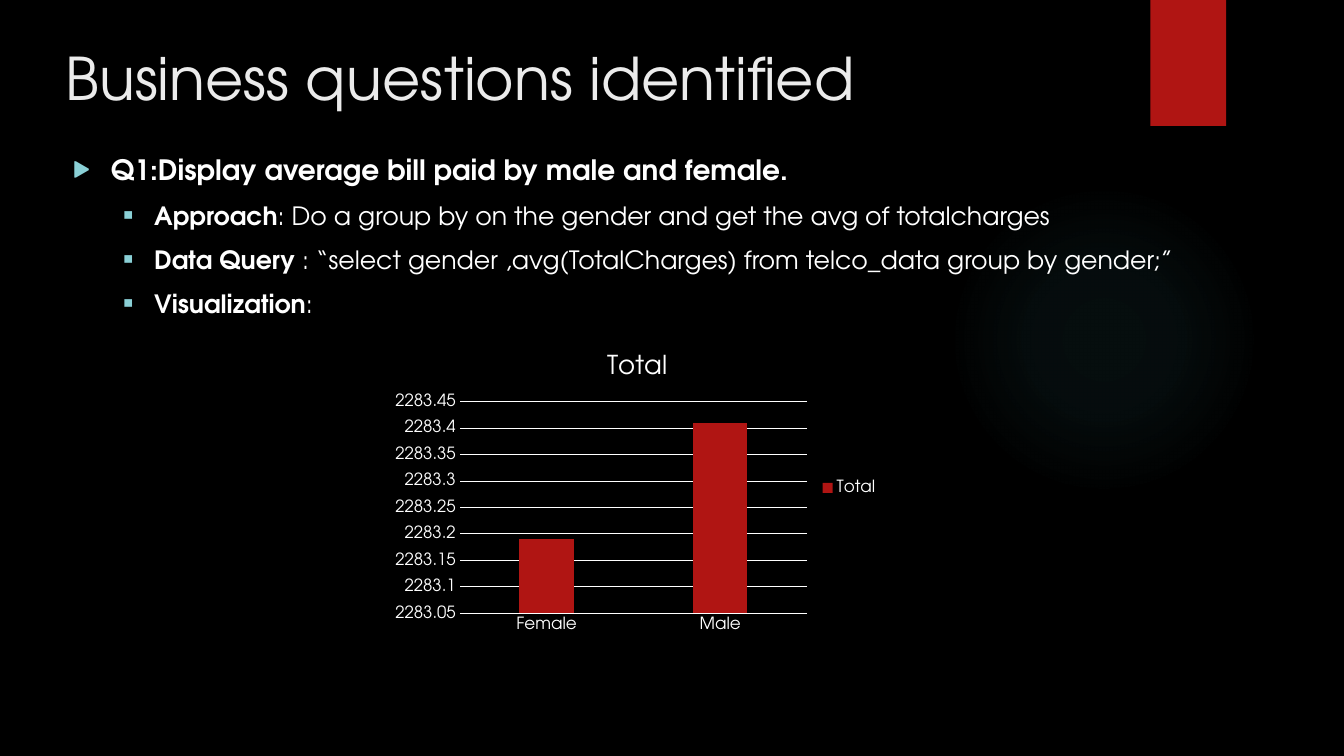
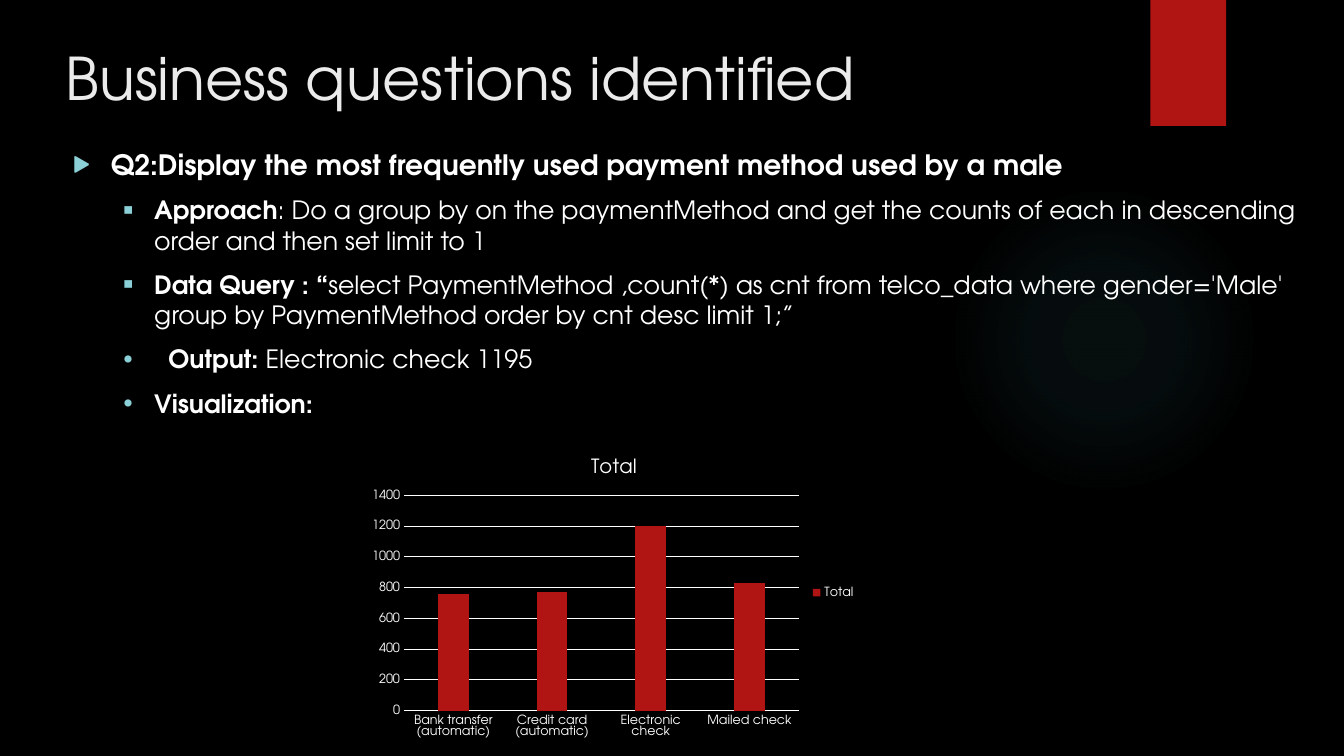
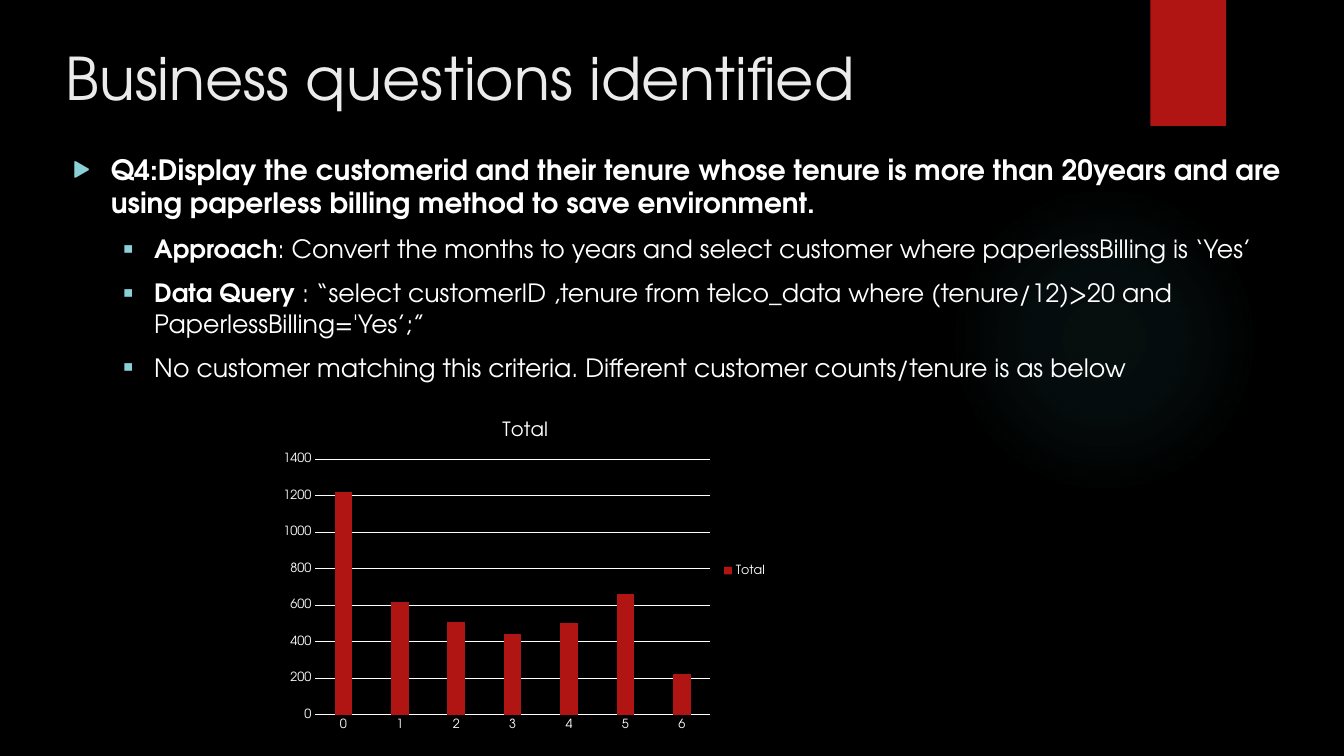
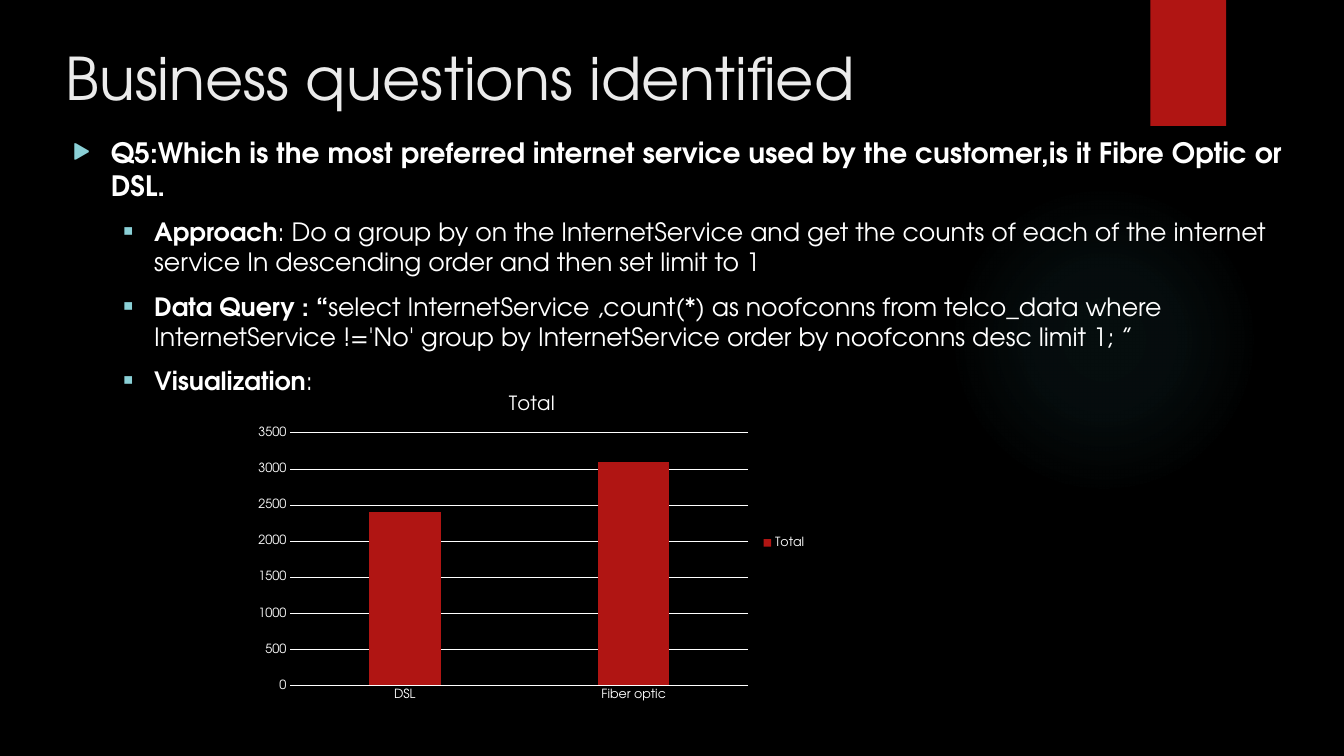
from dataclasses import dataclass

from lxml import etree
from pptx import Presentation
from pptx import util as u
from pptx.chart import data as chart_data
from pptx.dml.color import RGBColor
from pptx.enum import chart as chart_enum
from pptx.enum import shapes, text
from pptx.oxml import parse_xml
from pptx.oxml.ns import nsdecls, qn

SLIDE_WIDTH = u.Inches(13.33)
SLIDE_HEIGHT = u.Inches(7.5)
FONT = "TeX Gyre Adventor"
BLACK = RGBColor(0x00, 0x00, 0x00)
WHITE = RGBColor(0xFF, 0xFF, 0xFF)
TITLE_GREY = RGBColor(0xEB, 0xEB, 0xEB)
RED = RGBColor(0xB0, 0x15, 0x13)
BULLET_BLUE = RGBColor(0x8A, 0xD0, 0xD6)
GLOW_BLUE = RGBColor(0x50, 0xB9, 0xC1)
GLOW_STOPS = ((0, 7), (36, 6), (69, 0))

TITLE = "Business questions identified"
BODY_LEFT, BODY_WIDTH, BODY_HEIGHT = 4.65, 93.7, 78
ARROW, SQUARE, DOT = "\u25b6", "\u25aa", "\u2022"


@dataclass
class Item:
    """A detail line with a bold label, regular words and a bullet."""
    label: str
    words: str = ""
    bullet: str = SQUARE
    shift: float = 0


@dataclass
class Chart:
    """A column chart with its frame in percent and its value axis range."""
    frame: tuple
    values: dict
    axis: tuple
    label_size: float = 9
    title_size: float = 14


def share(left, top, width, height):
    """Turn percentages of the slide into left, top, width and height."""
    return (round(SLIDE_WIDTH * left / 100), round(SLIDE_HEIGHT * top / 100),
            round(SLIDE_WIDTH * width / 100), round(SLIDE_HEIGHT * height / 100))


def place(shape, frame):
    """Move and size a shape."""
    shape.left, shape.top, shape.width, shape.height = share(*frame)


def style_font(font, size, color=WHITE, bold=False):
    """Apply the deck's typeface with a size, colour and weight."""
    font.name = FONT
    font.size = u.Pt(size)
    font.bold = bold
    font.color.rgb = color


def add_run(paragraph, words, size, color=WHITE, bold=False):
    """Append one formatted run."""
    run = paragraph.add_run()
    run.text = words
    style_font(run.font, size, color, bold)


def set_bullet(paragraph, character, indent, hanging):
    """Give a paragraph a coloured hanging bullet."""
    paragraph.space_before = u.Pt(10)
    properties = paragraph._p.get_or_add_pPr()
    properties.set("marL", str(u.Inches(indent)))
    properties.set("indent", str(-u.Inches(hanging)))
    color = etree.SubElement(properties, qn("a:buClr"))
    etree.SubElement(color, qn("a:srgbClr"), val=str(BULLET_BLUE))
    etree.SubElement(properties, qn("a:buSzPct"), val="80000")
    etree.SubElement(properties, qn("a:buFont"), typeface=FONT)
    etree.SubElement(properties, qn("a:buChar"), char=character)


def add_decoration(slide, kind, frame):
    """Add an unlined shape and hand it to the slide's layout."""
    shape = slide.shapes.add_shape(kind, *share(*frame))
    shape.shadow.inherit = False
    shape.line.fill.background()
    slide.slide_layout.shapes.element.append(shape.element)
    return shape


def fill_glow(shape):
    """Fill a shape with a faint radial gradient."""
    stops = "".join(
        f'<a:gs pos="{position * 1000}"><a:srgbClr val="{GLOW_BLUE}">'
        f'<a:alpha val="{alpha * 1000}"/></a:srgbClr></a:gs>'
        for position, alpha in GLOW_STOPS)
    gradient = parse_xml(
        f'<a:gradFill {nsdecls("a")} rotWithShape="1"><a:gsLst>{stops}</a:gsLst>'
        '<a:path path="circle"><a:fillToRect l="50000" t="50000" r="50000" b="50000"/>'
        '</a:path></a:gradFill>')
    shape.element.spPr.find(qn("a:prstGeom")).addnext(gradient)


def prepare_layout(presentation):
    """Set the black background and title frame, and clear unused placeholders."""
    background = presentation.slide_master.background.fill
    background.solid()
    background.fore_color.rgb = BLACK
    layout = presentation.slide_layouts[1]
    for placeholder in list(layout.placeholders):
        if placeholder.placeholder_format.idx > 1:
            layout.shapes.element.remove(placeholder.element)
    place(layout.placeholders[0], (4.13, 4.8, 74.57, 8.13))
    return layout


def decorate_layout(slide):
    """Give the layout its glow and red band."""
    fill_glow(add_decoration(slide, shapes.MSO_SHAPE.OVAL, (70.59, 24.4, 23.11, 41.07)))
    band = add_decoration(slide, shapes.MSO_SHAPE.RECTANGLE, (85.6, 0, 5.63, 16.67))
    band.fill.solid()
    band.fill.fore_color.rgb = RED


def open_frame(shape):
    """Anchor a placeholder's text at the top without autofit."""
    frame = shape.text_frame
    frame.word_wrap = True
    frame.auto_size = text.MSO_AUTO_SIZE.NONE
    frame.vertical_anchor = text.MSO_ANCHOR.TOP
    return frame


def write_title(slide):
    """Write the shared title."""
    paragraph = open_frame(slide.shapes.title).paragraphs[0]
    paragraph.alignment = text.PP_ALIGN.LEFT
    add_run(paragraph, TITLE, 42, TITLE_GREY)


def write_body(slide, top, question, items):
    """Write the question and its detail lines."""
    body = slide.placeholders[1]
    place(body, (BODY_LEFT, top, BODY_WIDTH, BODY_HEIGHT))
    frame = open_frame(body)
    heading = frame.paragraphs[0]
    set_bullet(heading, ARROW, 0.38, 0.38)
    add_run(heading, question, 20, bold=True)
    for item in items:
        paragraph = frame.add_paragraph()
        paragraph.level = 1
        set_bullet(paragraph, item.bullet, 0.81 + item.shift, 0.31 + item.shift)
        for words, bold in ((item.label, True), (item.words, False)):
            if words:
                add_run(paragraph, words, 18, bold=bold)


def style_axes(chart, label_size, axis_range):
    """Format both axes and the gridlines."""
    for axis in (chart.category_axis, chart.value_axis):
        axis.major_tick_mark = chart_enum.XL_TICK_MARK.NONE
        axis.minor_tick_mark = chart_enum.XL_TICK_MARK.NONE
        style_font(axis.tick_labels.font, label_size)
    value_axis = chart.value_axis
    value_axis.minimum_scale, value_axis.maximum_scale, value_axis.major_unit = axis_range
    value_axis.format.line.fill.background()
    value_axis.has_major_gridlines = True
    for line in (chart.category_axis.format.line, value_axis.major_gridlines.format.line):
        line.color.rgb = WHITE
        line.width = u.Pt(0.75)


def add_column_chart(slide, content):
    """Add a titled column chart with a legend on the right."""
    data = chart_data.CategoryChartData()
    data.categories = list(content.values)
    data.add_series("Total", list(content.values.values()))
    chart = slide.shapes.add_chart(
        chart_enum.XL_CHART_TYPE.COLUMN_CLUSTERED, *share(*content.frame), data).chart
    style_font(chart.font, 10)
    chart.has_title = True
    add_run(chart.chart_title.text_frame.paragraphs[0], "Total", content.title_size)
    chart.chart_title.include_in_layout = False
    chart.has_legend = True
    chart.legend.position = chart_enum.XL_LEGEND_POSITION.RIGHT
    chart.legend.include_in_layout = False
    style_font(chart.legend.font, content.label_size)
    style_axes(chart, content.label_size, content.axis)
    plot = chart.plots[0]
    plot.gap_width = 219
    plot.overlap = -27
    plot.vary_by_categories = False
    fill = plot.series[0].format.fill
    fill.solid()
    fill.fore_color.rgb = RED


QUESTIONS = (
    (19.47, "Q1:Display average bill paid by male and female.", (
        Item("Approach", ": Do a group by on the gender and get the avg of totalcharges"),
        Item("Data Query ", ": “select gender ,avg(TotalCharges) from telco_data "
             "group by gender;”"),
        Item("Visualization", ":"),
    ), Chart((28.66, 44.53, 37.51, 40), {"Female": 2283.19, "Male": 2283.41},
             (2283.05, 2283.45, 0.05), 12, 18.6)),
    (18.8, "Q2:Display the most frequently used payment method used by a male", (
        Item("Approach", ": Do a group by on the paymentMethod and get the counts of each "
             "in descending order and then set limit to 1"),
        Item("Data Query : “", "select PaymentMethod ,count(*) as cnt from telco_data "
             "where gender='Male' group by PaymentMethod order by cnt desc limit 1;”"),
        Item("Output: ", "Electronic check 1195", DOT, 0.14),
        Item("Visualization:", bullet=DOT),
    ), Chart((26.93, 58.4, 37.51, 40),
             {"Bank transfer (automatic)": 760, "Credit card (automatic)": 770,
              "Electronic check": 1200, "Mailed check": 830}, (0, 1400, 200))),
    (19.47, "Q4:Display the customerid and their tenure whose tenure is more than 20years "
     "and are using paperless billing method to save environment.", (
        Item("Approach", ": Convert the months to years and select customer where "
             "paperlessBilling is ‘Yes’"),
        Item("Data Query ", ": “select customerID ,tenure from telco_data where "
             "(tenure/12)>20 and PaperlessBilling='Yes’;”"),
        Item("", "No customer matching this criteria. Different customer counts/tenure "
             "is as below"),
     ), Chart((20.33, 53.47, 37.51, 44),
              {"0": 1220, "1": 620, "2": 510, "3": 440, "4": 500, "5": 660, "6": 220},
              (0, 1400, 200))),
    (17.2, "Q5:Which is the most preferred internet service used by the customer,"
     "is it Fibre Optic or DSL.", (
        Item("Approach", ": Do a group by on the InternetService and get the counts of each "
             "of the internet service In descending order and then set limit to 1"),
        Item("Data Query : “", "select InternetService ,count(*) as noofconns from "
             "telco_data where InternetService !='No' group by InternetService "
             "order by noofconns desc limit 1; ”"),
        Item("Visualization", ":"),
     ), Chart((18.38, 50, 42.39, 43.6), {"DSL": 2400, "Fiber optic": 3100},
              (0, 3500, 500))),
)


def main():
    """Build and save the presentation."""
    presentation = Presentation()
    presentation.slide_width = SLIDE_WIDTH
    presentation.slide_height = SLIDE_HEIGHT
    layout = prepare_layout(presentation)
    for number, (top, question, items, chart) in enumerate(QUESTIONS):
        slide = presentation.slides.add_slide(layout)
        if number == 0:
            decorate_layout(slide)
        write_title(slide)
        write_body(slide, top, question, items)
        add_column_chart(slide, chart)
    presentation.save("out.pptx")


main()
